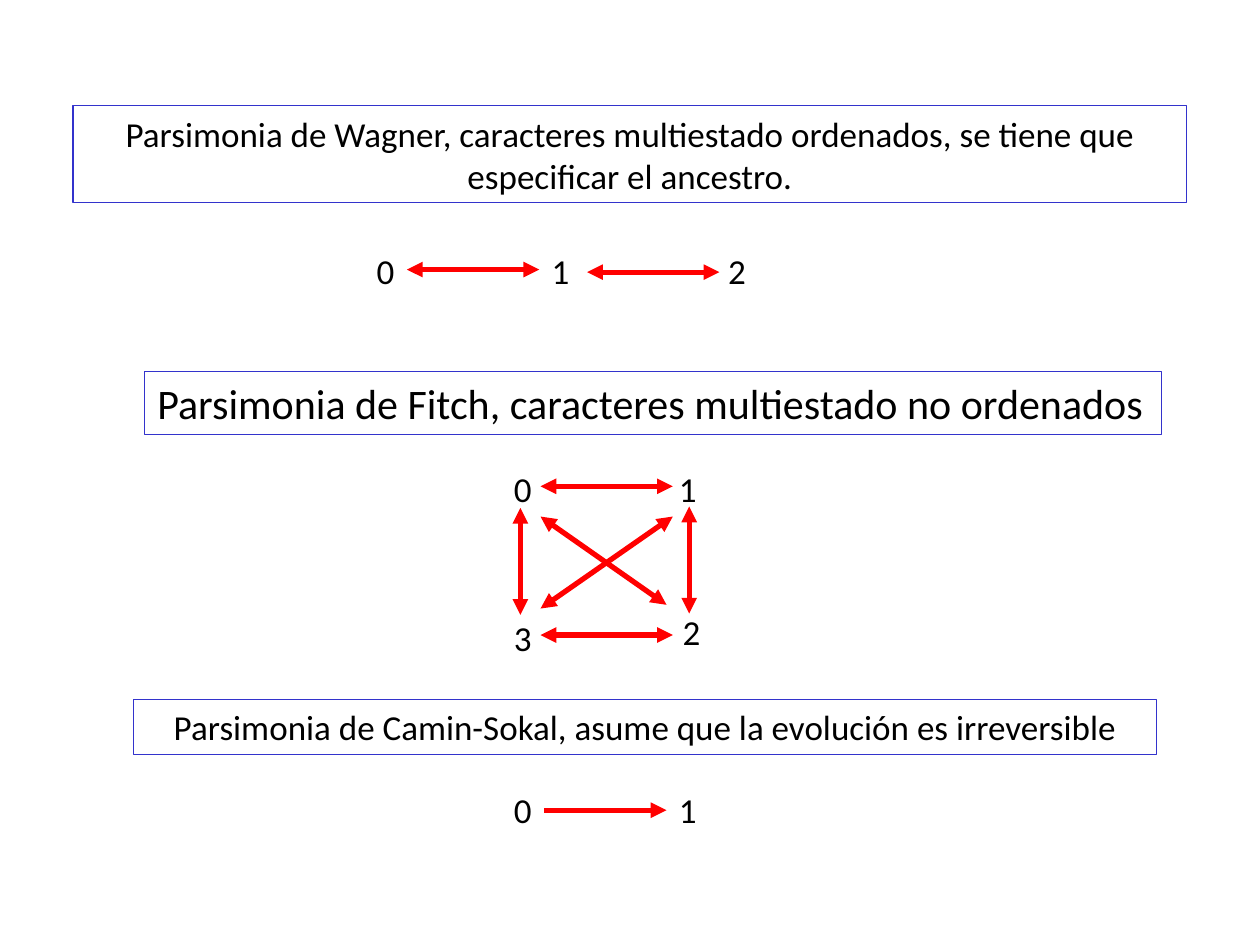
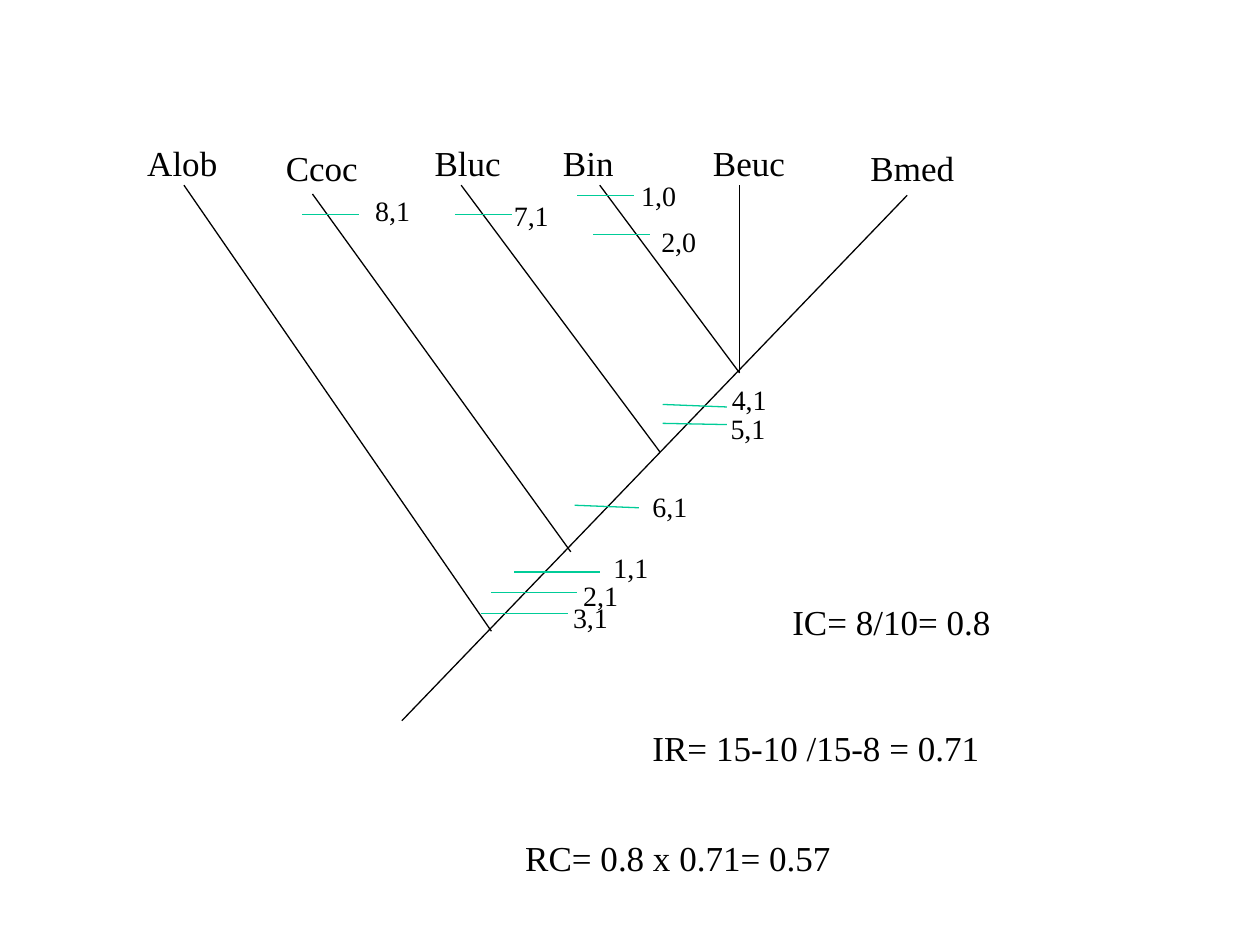
import pptx
import pptx.util
import pptx.dml.color
import pptx.enum.shapes
import pptx.enum.text
import pptx.oxml.ns
import lxml.etree

Inches = pptx.util.Inches
Pt = pptx.util.Pt
qn = pptx.oxml.ns.qn
ALIGN = pptx.enum.text.PP_ALIGN

COLORS = {"text": "000000", "frame": "3333CC", "arrow": "FF0000",
          "branch": "000000", "change": "00CC98"}
SANS, SERIF = "Calibri", "Times New Roman"
LABEL_SIZE, CHANGE_SIZE = 20, 16
HEIGHTS = {LABEL_SIZE: 0.44, CHANGE_SIZE: 0.37}
STATE_WIDTH, CHANGE_WIDTH = 0.34, 0.47

HEADINGS = [
    ("Parsimonia de Wagner, caracteres multiestado ordenados, se tiene que especificar el ancestro.",
     (0.58, 0.84, 8.84, 0.77), 20, True),
    ("Parsimonia de Fitch, caracteres multiestado no ordenados",
     (1.15, 2.95, 8.07, 0.5), 24, False),
    ("Parsimonia de Camin-Sokal, asume que la evolución es irreversible",
     (1.06, 5.55, 8.12, 0.44), 20, True),
]
STATES = [
    ("0", 2.89, 1.93), ("1", 4.28, 1.93), ("2", 5.68, 1.93),
    ("0", 3.98, 3.66), ("1", 5.29, 3.66), ("2", 5.32, 4.8), ("3", 3.98, 4.84),
    ("0", 3.98, 6.21), ("1", 5.29, 6.21),
]
REVERSIBLE = [
    (3.23, 2.14, 4.28, 2.14), (4.66, 2.16, 5.71, 2.16),
    (4.29, 3.86, 5.34, 3.86), (4.13, 4.03, 4.13, 4.88),
    (4.29, 5.04, 5.34, 5.04), (5.47, 4.02, 5.47, 4.87),
    (4.29, 4.1, 5.29, 4.8), (4.29, 4.83, 5.34, 4.1),
]
IRREVERSIBLE = (4.32, 6.43, 5.29, 6.43)

STEM = (7.2, 1.55, 3.19, 5.72)
BRANCHES = [
    (3.9, 5.01, 1.46, 1.47), (4.53, 4.38, 2.48, 1.54), (5.24, 3.59, 3.66, 1.47),
    (5.87, 2.96, 4.76, 1.47), (5.87, 2.96, 5.87, 1.47),
]
TAXA = [
    ("Alob", 1.07, 1.07, 0.75), ("Ccoc", 2.17, 1.11, 0.77), ("Bluc", 3.35, 1.07, 0.72),
    ("Bin", 4.37, 1.07, 0.6), ("Beuc", 5.56, 1.07, 0.77), ("Bmed", 6.81, 1.11, 0.86),
]
INDICES = [
    ("IC= 8/10= 0.8", 6.19, 4.72, 1.77),
    ("IR= 15-10 /15-8 = 0.71", 5.08, 5.72, 2.79),
    ("RC= 0.8 x 0.71= 0.57", 4.07, 6.59, 2.62),
]
CHANGES = [
    ("1,1", (4.77, 4.32), (4.08, 4.54, 4.76, 4.54)),
    ("2,1", (4.53, 4.54), (3.9, 4.7, 4.58, 4.7)),
    ("3,1", (4.45, 4.72), (3.82, 4.87, 4.51, 4.87)),
    ("1,0", (4.99, 1.37), (4.58, 1.55, 5.03, 1.55)),
    ("2,0", (5.15, 1.73), (4.71, 1.86, 5.16, 1.86)),
    ("6,1", (5.08, 3.84), (4.56, 4.01, 5.07, 4.03)),
    ("4,1", (5.71, 2.99), (5.26, 3.21, 5.77, 3.23)),
    ("5,1", (5.7, 3.22), (5.26, 3.36, 5.77, 3.37)),
    ("7,1", (3.98, 1.53), (3.61, 1.7, 4.06, 1.7)),
    ("8,1", (2.88, 1.49), (2.4, 1.7, 2.85, 1.7)),
]


def rgb(name):
    return pptx.dml.color.RGBColor.from_string(COLORS[name])


def write(sp, text, size, font, align=ALIGN.LEFT):
    tf = sp.text_frame
    tf.word_wrap = True
    tf.auto_size = pptx.enum.text.MSO_AUTO_SIZE.NONE
    tf.vertical_anchor = pptx.enum.text.MSO_ANCHOR.TOP
    if align == ALIGN.LEFT:
        tf.margin_right = 0
    p = tf.paragraphs[0]
    p.text = text
    p.alignment = align
    p.font.size = Pt(size)
    p.font.name = font
    p.font.color.rgb = rgb("text")


def add_label(slide, text, left, top, width, font, size=LABEL_SIZE):
    sp = slide.shapes.add_textbox(*map(Inches, (left, top, width, HEIGHTS[size])))
    write(sp, text, size, font)


def add_heading(slide, text, box, size, centred):
    sp = slide.shapes.add_shape(pptx.enum.shapes.MSO_SHAPE.RECTANGLE, *map(Inches, box))
    sp.shadow.inherit = False
    sp.fill.background()
    sp.line.color.rgb = rgb("frame")
    sp.line.width = Pt(0.75)
    write(sp, text, size, SANS, ALIGN.CENTER if centred else ALIGN.LEFT)


def add_line(slide, ends, color, width=0.75, arrowheads=()):
    line = slide.shapes.add_connector(pptx.enum.shapes.MSO_CONNECTOR.STRAIGHT, *map(Inches, ends))
    line.line.color.rgb = rgb(color)
    line.line.width = Pt(width)
    ln = line.line._get_or_add_ln()
    for end in arrowheads:
        lxml.etree.SubElement(ln, qn("a:" + end), type="triangle")
    lxml.etree.SubElement(line._element.spPr, qn("a:effectLst"))


def build_parsimony(slide):
    for heading in HEADINGS:
        add_heading(slide, *heading)
    for state, left, top in STATES:
        add_label(slide, state, left, top, STATE_WIDTH, SANS)
    for ends in REVERSIBLE:
        add_line(slide, ends, "arrow", 3, ("headEnd", "tailEnd"))
    add_line(slide, IRREVERSIBLE, "arrow", 3, ("tailEnd",))


def build_cladogram(slide):
    for ends in [STEM] + BRANCHES:
        add_line(slide, ends, "branch")
    for text, left, top, width in TAXA + INDICES:
        add_label(slide, text, left, top, width, SERIF)
    for text, (left, top), tick in CHANGES:
        add_line(slide, tick, "change")
        add_label(slide, text, left, top, CHANGE_WIDTH, SERIF, CHANGE_SIZE)


def main():
    prs = pptx.Presentation()
    prs.slide_width, prs.slide_height = Inches(10), Inches(7.5)
    for build in (build_parsimony, build_cladogram):
        build(prs.slides.add_slide(prs.slide_layouts[6]))
    prs.save("out.pptx")


if __name__ == "__main__":
    main()
